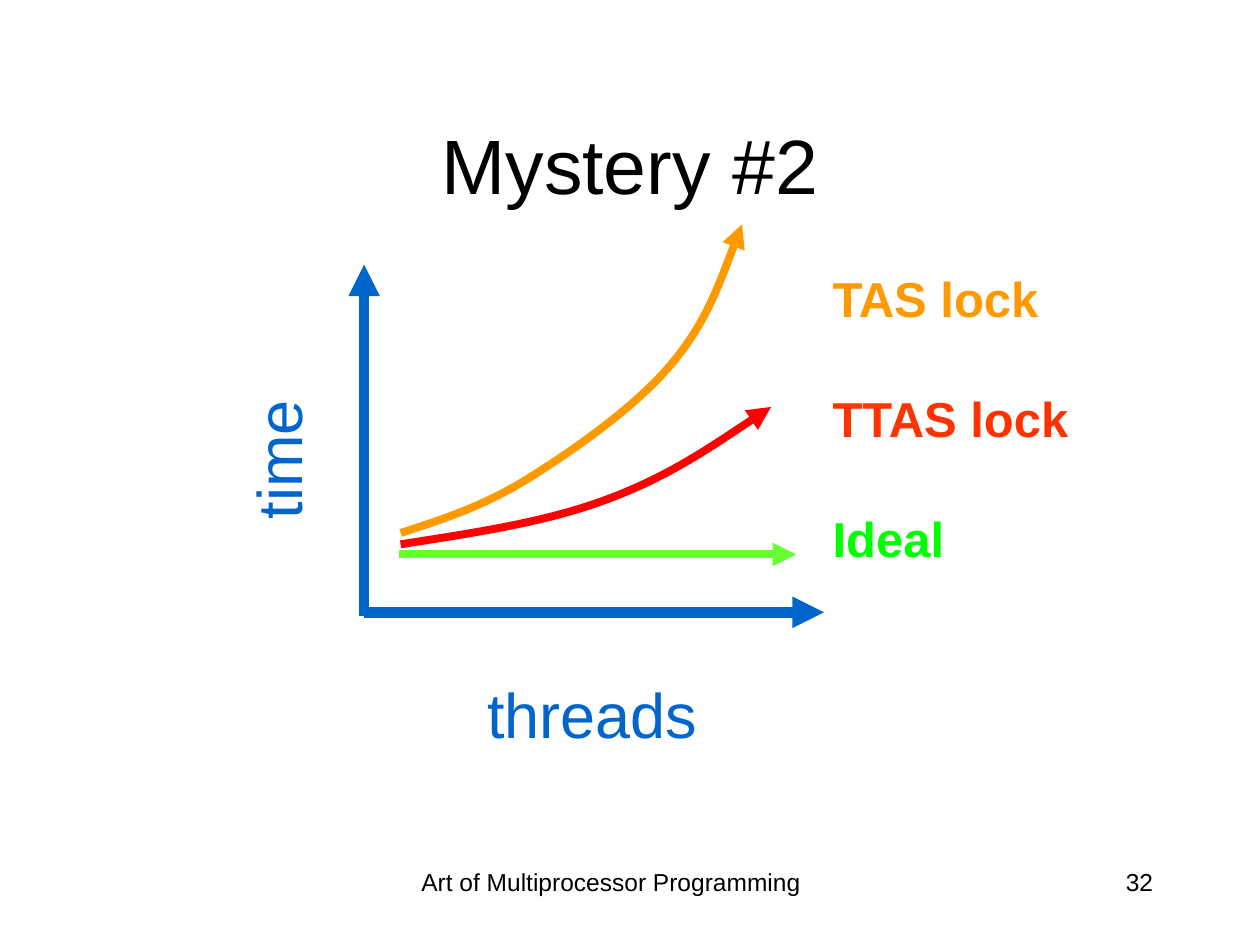
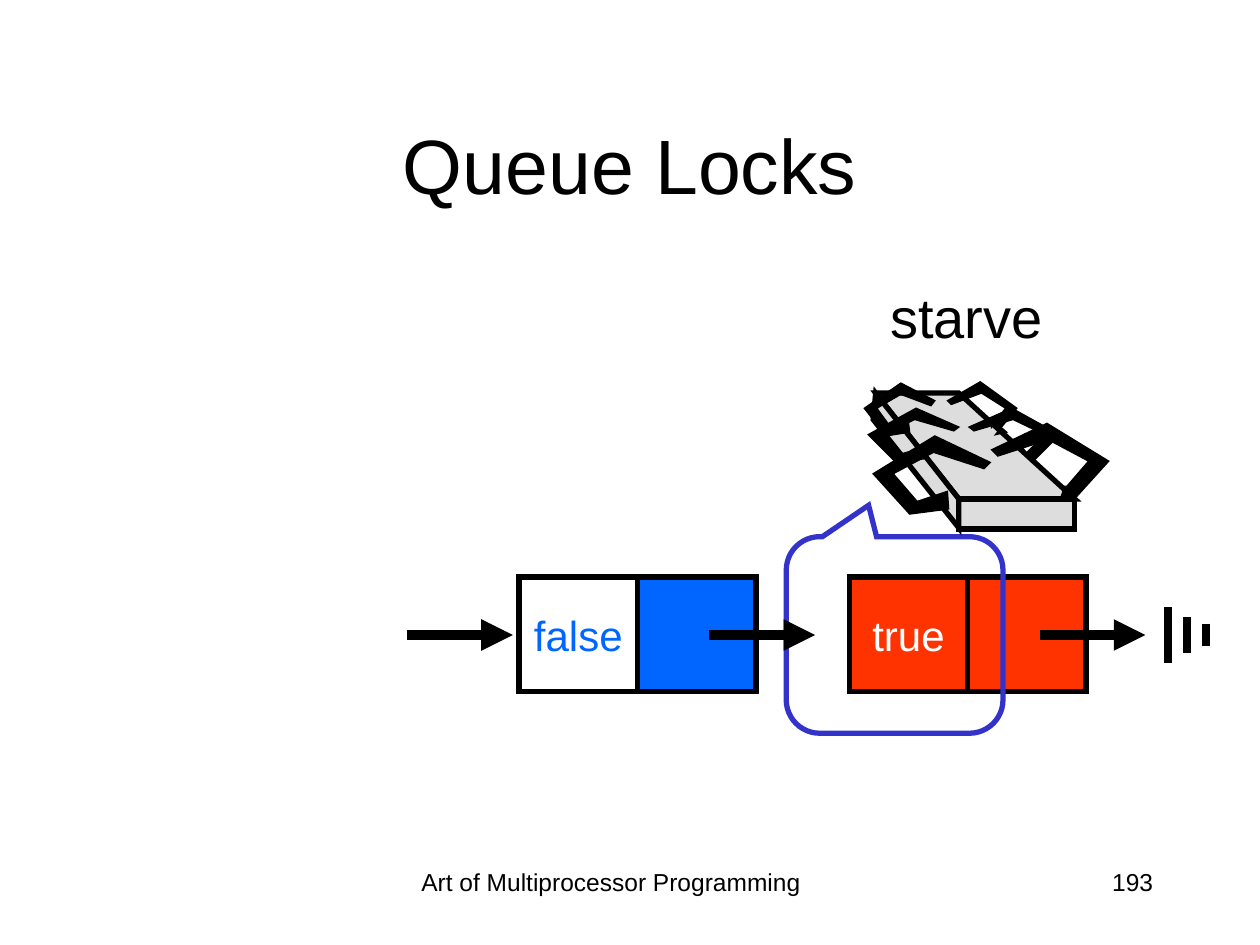
from dataclasses import dataclass

from lxml.etree import SubElement
from pptx import Presentation
from pptx.dml.color import RGBColor
from pptx.enum.shapes import MSO_CONNECTOR, MSO_SHAPE as SHAPE
from pptx.enum.text import MSO_ANCHOR as ANCHOR, PP_ALIGN as ALIGN
from pptx.oxml.ns import qn
from pptx.util import Inches, Pt


@dataclass(frozen=True)
class Theme:
    font: str = "Arial"
    title: int = 44
    axis: int = 36
    caption: int = 32
    legend: int = 28
    cell: int = 24
    footer: int = 14
    black: str = "000000"
    white: str = "FFFFFF"
    axis_blue: str = "0066CC"
    orange: str = "FF9900"
    curve_red: str = "FF0000"
    red: str = "FF3300"
    green: str = "00FF00"
    curve_green: str = "66FF33"
    node_blue: str = "0066FF"
    callout_blue: str = "3333CC"
    gray: str = "DDDDDD"
    outline: float = 3
    curve: float = 4.5
    arrow: float = 6
    thin: float = 0.75


T = Theme()
FOOTER = "Art of Multiprocessor Programming"

# Queue nodes: two square cells and a pointer leaving the second one
CELL_W, CELL_H, CELL_TOP = 0.94, 0.91, 4.58
POINTER_Y, POINTER_OFFSET, POINTER_LEN = 5.04, 1.51, 0.84

# Bug outlines
BUG_BACK = [(6.95, 3.12), (7.61, 3.96), (8.53, 3.96), (7.61, 3.12)]
BUG_SIDE = [(6.95, 3.12), (6.93, 3.33), (7.61, 4.19), (7.61, 3.96)]
BUG_LEGS = [
    [(7.52, 3.9), (7.53, 4.04), (7.22, 4.08), (6.93, 3.76), (7.42, 3.46),
     (7.86, 3.67), (7.81, 3.72), (7.41, 3.59), (7.09, 3.76), (7.28, 3.98)],
    [(7.35, 3.55), (7.35, 3.64), (7.11, 3.67), (6.89, 3.45), (7.27, 3.24),
     (7.61, 3.39), (7.57, 3.42), (7.26, 3.33), (7.01, 3.45), (7.16, 3.6)],
    [(7.21, 3.34), (7.22, 3.43), (7.03, 3.46), (6.86, 3.24), (7.15, 3.04),
     (7.42, 3.18), (7.39, 3.22), (7.15, 3.13), (6.96, 3.24), (7.07, 3.39)],
    [(8.11, 3.54), (8.14, 3.62), (8.19, 3.67), (8.41, 3.45), (8.03, 3.24),
     (7.69, 3.39), (7.73, 3.42), (8.04, 3.33), (8.29, 3.45), (8.14, 3.6)],
    [(7.87, 3.33), (7.99, 3.43), (7.9, 3.45), (8.07, 3.24), (7.78, 3.03),
     (7.52, 3.18), (7.55, 3.21), (7.79, 3.12), (7.98, 3.24), (7.87, 3.39)],
    [(8.47, 3.9), (8.44, 3.89), (8.42, 3.95), (8.51, 3.98), (8.8, 3.66),
     (8.31, 3.36), (7.87, 3.57), (7.92, 3.62), (8.32, 3.49), (8.64, 3.66),
     (8.45, 3.88), (8.47, 3.86), (8.41, 3.86)],
]

# Lock curves: a start point, then three points for each Bezier segment
TAS_CURVE = [(3.18, 4.23), (3.52, 4.12), (3.86, 4.01), (4.22, 3.78),
             (4.57, 3.56), (5.04, 3.23), (5.32, 2.9),
             (5.6, 2.57), (5.74, 2.17), (5.89, 1.78)]
TTAS_CURVE = [(3.18, 4.32), (3.75, 4.23), (4.31, 4.15), (4.8, 3.97),
              (5.29, 3.79), (5.7, 3.51), (6.12, 3.23)]


def rgb(color):
    return RGBColor.from_string(color)


def set_line(sp, color, width, arrow=False):
    sp.line.color.rgb = rgb(color)
    sp.line.width = Pt(width)
    ln = sp.element.spPr.find(qn("a:ln"))
    SubElement(ln, qn("a:miter"), lim="800000")
    if arrow:
        SubElement(ln, qn("a:tailEnd"), type="triangle")


def set_fill(sp, color):
    sp.shadow.inherit = False
    if color:
        sp.fill.solid()
        sp.fill.fore_color.rgb = rgb(color)
    else:
        sp.fill.background()


def style_text(p, text, size, color, align, bold=False):
    p.text = text
    p.alignment = align
    p.font.name, p.font.size, p.font.bold = T.font, Pt(size), bold
    p.font.color.rgb = rgb(color)


def add_text(s, box, text, size, color=T.black, align=ALIGN.CENTER,
             anchor=ANCHOR.TOP):
    sp = s.shapes.add_textbox(*map(Inches, box))
    tf = sp.text_frame
    tf.word_wrap = True
    tf.vertical_anchor = anchor
    style_text(tf.paragraphs[0], text, size, color, align)
    return sp


def add_line(s, start, end, color, width, arrow=False):
    sp = s.shapes.add_connector(MSO_CONNECTOR.STRAIGHT,
                                *map(Inches, start + end))
    set_line(sp, color, width, arrow)
    SubElement(sp.element.spPr, qn("a:effectLst"))


def add_box(s, box, fill, line=T.black, kind=SHAPE.RECTANGLE):
    sp = s.shapes.add_shape(kind, *map(Inches, box))
    set_fill(sp, fill)
    set_line(sp, line, T.outline)
    return sp


def add_outline(s, points, closed):
    (x, y), *rest = [(Inches(px), Inches(py)) for px, py in points]
    builder = s.shapes.build_freeform(x, y)
    builder.add_line_segments(rest, close=closed)
    return builder.convert_to_shape()


def add_polygon(s, points, fill, width):
    sp = add_outline(s, points, True)
    set_fill(sp, fill)
    set_line(sp, T.black, width)


def add_curve(s, points, color):
    sp = add_outline(s, points, False)
    set_fill(sp, None)
    set_line(sp, color, T.curve, arrow=True)
    # Merge each three straight steps into one Bezier segment
    geometry = next(sp.element.iter(qn("a:path")))
    steps = geometry.findall(qn("a:lnTo"))
    for i in range(0, len(steps), 3):
        bezier = SubElement(geometry, qn("a:cubicBezTo"))
        for step in steps[i:i + 3]:
            bezier.append(step[0])
            geometry.remove(step)


def add_legend(s, box, entries):
    sp = s.shapes.add_textbox(*map(Inches, box))
    tf = sp.text_frame
    tf.word_wrap = False
    for i, (text, color) in enumerate(entries):
        p = tf.add_paragraph() if i else tf.paragraphs[0]
        style_text(p, text, T.legend, color, ALIGN.LEFT, bold=True)
        if i:
            p.space_before = Pt(35)


def add_pointer(s, left):
    add_line(s, (left, POINTER_Y), (left + POINTER_LEN, POINTER_Y),
             T.black, T.arrow, arrow=True)


def add_node(s, left, text, text_color, value_fill, next_fill):
    sp = add_box(s, (left, CELL_TOP, CELL_W, CELL_H), value_fill)
    tf = sp.text_frame
    tf.word_wrap = False
    tf.vertical_anchor = ANCHOR.MIDDLE
    style_text(tf.paragraphs[0], text, T.cell, text_color, ALIGN.CENTER)
    add_box(s, (left + CELL_W, CELL_TOP, CELL_W, CELL_H), next_fill)
    add_pointer(s, left + POINTER_OFFSET)


def add_ground(s, left):
    for i, half in enumerate((0.22, 0.14, 0.09)):
        x = left + 0.15 * i
        add_line(s, (x, POINTER_Y - half), (x, POINTER_Y + half),
                 T.black, T.curve)


def add_bug(s):
    add_polygon(s, BUG_BACK, T.gray, T.outline)
    add_box(s, (7.61, 3.96, 0.92, 0.24), T.gray)
    add_polygon(s, BUG_SIDE, T.gray, T.outline)
    for leg in BUG_LEGS:
        add_polygon(s, leg, T.black, T.thin)


def new_slide(prs, title, number):
    s = prs.slides.add_slide(prs.slide_layouts[6])
    add_text(s, (2.89, 6.83, 3.92, 0.5), FOOTER, T.footer)
    add_text(s, (7.17, 6.83, 2.08, 0.5), number, T.footer, align=ALIGN.RIGHT)
    add_text(s, (0.75, 0.67, 8.5, 1.25), title, T.title, anchor=ANCHOR.MIDDLE)
    return s


def build_mystery(prs):
    s = new_slide(prs, "Mystery #2", "32")
    # Axes
    add_line(s, (2.89, 4.89), (2.89, 2.1), T.axis_blue, T.arrow, arrow=True)
    add_line(s, (2.89, 4.86), (6.54, 4.86), T.axis_blue, T.arrow, arrow=True)
    time = add_text(s, (1.6, 3.3, 1.2, 0.7), "time", T.axis, T.axis_blue)
    time.rotation = 270
    add_text(s, (3.7, 5.31, 2, 0.7), "threads", T.axis, T.axis_blue)
    # Legend and curves
    add_legend(s, (6.51, 2.08, 2.09, 2.93),
               [("TAS lock", T.orange), ("TTAS lock", T.red),
                ("Ideal", T.green)])
    add_line(s, (3.17, 4.4), (6.32, 4.4), T.curve_green, T.curve, arrow=True)
    add_curve(s, TAS_CURVE, T.orange)
    add_curve(s, TTAS_CURVE, T.curve_red)


def build_queue_locks(prs):
    s = new_slide(prs, "Queue Locks", "193")
    add_text(s, (6.87, 2.19, 1.6, 0.64), "starve", T.caption)
    # Waiting node with its thread's callout
    add_node(s, 6.74, "true", T.white, T.red, T.red)
    add_ground(s, 9.27)
    callout = add_box(s, (6.24, 4.26, 1.72, 1.56), None, T.callout_blue,
                      SHAPE.ROUNDED_RECTANGULAR_CALLOUT)
    for i, value in enumerate((-0.12, -0.66, 0.17)):
        callout.adjustments[i] = value
    # Released node and the incoming pointer
    add_node(s, 4.12, "false", T.node_blue, T.white, T.node_blue)
    add_pointer(s, 3.23)
    add_bug(s)


def main():
    prs = Presentation()
    prs.slide_width, prs.slide_height = Inches(10), Inches(7.5)
    build_mystery(prs)
    build_queue_locks(prs)
    prs.save("out.pptx")


if __name__ == "__main__":
    main()
